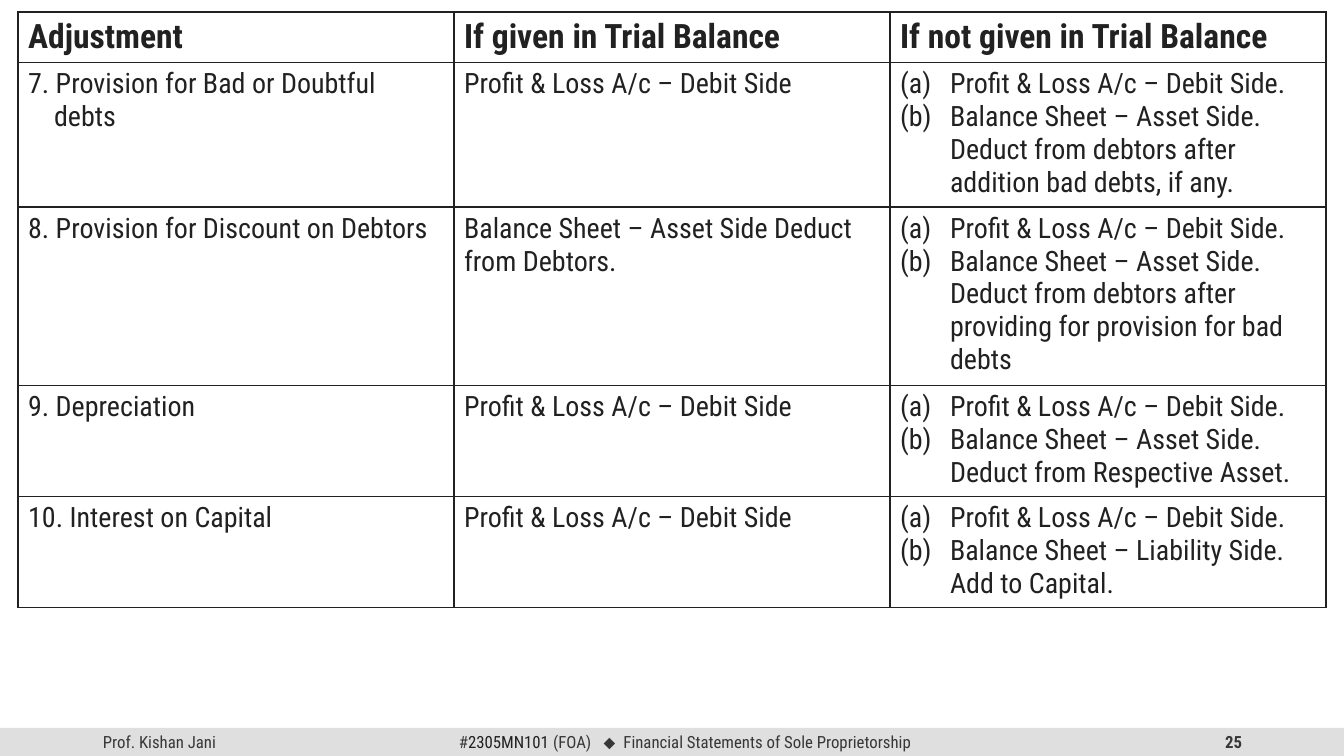
from lxml import etree
from pptx import Presentation
from pptx.dml.color import RGBColor
from pptx.enum.shapes import MSO_SHAPE
from pptx.enum.text import MSO_ANCHOR, PP_ALIGN
from pptx.oxml.ns import qn
from pptx.util import Emu, Pt

EMU_PER_INCH = 914400
PX_PER_INCH = 100.8
ROUNDED = MSO_SHAPE.ROUNDED_RECTANGLE
MIDDLE = MSO_ANCHOR.MIDDLE
LEFT, CENTER, RIGHT = PP_ALIGN.LEFT, PP_ALIGN.CENTER, PP_ALIGN.RIGHT

COLORS = {"ink": "212121", "footer": "373737", "band": "DFDFDF"}
FONT = "Roboto Condensed"
SYMBOL_FONT = "Arial"

SLIDE_SIZE = (1344, 756)
FOOTER_TOP, FOOTER_HEIGHT = 728, 28
COLUMN_WIDTH = 436
ROW_HEIGHTS = [49, 142, 175, 109, 109]
LIST_INDENT = 50
CONTINUATION_INDENT = 26

PROFIT_AND_LOSS = "Profit & Loss A/c – Debit Side"
HEADINGS = ["Adjustment", "If given in Trial Balance", "If not given in Trial Balance"]
# Adjustment lines, treatment if given, second treatment if not given
ADJUSTMENTS = [
    (["7. Provision for Bad or Doubtful", "debts"], PROFIT_AND_LOSS,
     "Balance Sheet – Asset Side. Deduct from debtors after addition bad debts, if any."),
    (["8. Provision for Discount on Debtors"],
     "Balance Sheet – Asset Side Deduct from Debtors.",
     "Balance Sheet – Asset Side. Deduct from debtors after providing for provision for bad debts"),
    (["9. Depreciation"], PROFIT_AND_LOSS,
     "Balance Sheet – Asset Side. Deduct from Respective Asset."),
    (["10. Interest on Capital"], PROFIT_AND_LOSS,
     "Balance Sheet – Liability Side. Add to Capital."),
]


def px(length):
    return Emu(round(length * EMU_PER_INCH / PX_PER_INCH))


class SlideBuilder:
    def __init__(self, slide):
        self.slide = slide

    def style_run(self, run, size, color, bold=False, font=FONT):
        run.font.name = font
        run.font.size = Pt(size)
        run.font.bold = bold
        run.font.color.rgb = RGBColor.from_string(COLORS[color])

    def band(self, left, top, width, height):
        shape = self.slide.shapes.add_shape(ROUNDED, px(left), px(top), px(width), px(height))
        shape.adjustments[0] = 0
        shape.shadow.inherit = False
        shape.fill.solid()
        shape.fill.fore_color.rgb = RGBColor.from_string(COLORS["band"])
        shape.line.fill.background()

    def footer_text(self, left, width, alignment, runs, bold=False):
        """Each run is (text, color, font, letter spacing in points)."""
        box = self.slide.shapes.add_textbox(px(left), px(FOOTER_TOP), px(width), px(FOOTER_HEIGHT))
        frame = box.text_frame
        frame.word_wrap = True
        frame.vertical_anchor = MIDDLE
        paragraph = frame.paragraphs[0]
        paragraph.alignment = alignment
        for text, color, font, spacing in runs:
            run = paragraph.add_run()
            run.text = text
            self.style_run(run, 12, color, bold, font)
            if spacing:
                run.font._element.set("spc", str(spacing * 100))

    def indent(self, paragraph, margin, hanging=0):
        properties = paragraph._p.get_or_add_pPr()
        properties.set("marL", str(px(margin)))
        properties.set("indent", str(-px(hanging)))
        return properties

    def letter(self, paragraph):
        """Number the paragraph (a), (b) and so on."""
        properties = self.indent(paragraph, LIST_INDENT, LIST_INDENT)
        etree.SubElement(properties, qn("a:buFont"), typeface="+mj-lt")
        etree.SubElement(properties, qn("a:buAutoNum"), type="alphaLcParenBoth")

    def borders(self, cell):
        properties = cell._tc.get_or_add_tcPr()
        for position, side in enumerate(("lnL", "lnR", "lnT", "lnB")):
            line = etree.Element(qn(f"a:{side}"), w=str(Pt(1)))
            fill = etree.SubElement(line, qn("a:solidFill"))
            etree.SubElement(fill, qn("a:srgbClr"), val=COLORS["ink"])
            properties.insert(position, line)

    def cell(self, cell, lines, size=20, bold=False, lettered=False):
        cell.fill.background()
        self.borders(cell)
        cell.text_frame.text = "\n".join(lines)
        for index, paragraph in enumerate(cell.text_frame.paragraphs):
            if lettered:
                self.letter(paragraph)
            elif index:
                self.indent(paragraph, CONTINUATION_INDENT)
            for run in paragraph.runs:
                self.style_run(run, size, "ink", bold)

    def adjustments_table(self, left, top):
        table = self.slide.shapes.add_table(
            len(ROW_HEIGHTS), len(HEADINGS), px(left), px(top),
            px(COLUMN_WIDTH * len(HEADINGS)), px(sum(ROW_HEIGHTS))).table
        table.first_row = table.horz_banding = False
        for column in table.columns:
            column.width = px(COLUMN_WIDTH)
        for row, height in zip(table.rows, ROW_HEIGHTS):
            row.height = px(height)
        for index, heading in enumerate(HEADINGS):
            self.cell(table.cell(0, index), [heading], size=24, bold=True)
        for index, (name, given, second) in enumerate(ADJUSTMENTS, 1):
            self.cell(table.cell(index, 0), name)
            self.cell(table.cell(index, 1), [given])
            self.cell(table.cell(index, 2), [PROFIT_AND_LOSS + ".", second], lettered=True)


def main():
    presentation = Presentation()
    presentation.slide_width, presentation.slide_height = map(px, SLIDE_SIZE)
    builder = SlideBuilder(presentation.slides.add_slide(presentation.slide_layouts[6]))
    builder.band(0, FOOTER_TOP, SLIDE_SIZE[0], FOOTER_HEIGHT)
    builder.footer_text(93, 302, LEFT, [("Prof. Kishan Jani", "footer", FONT, 0)])
    builder.footer_text(950, 302, RIGHT, [("25", "footer", FONT, 0)], bold=True)
    builder.footer_text(421, 528, CENTER, [
        ("#", "footer", FONT, 0),
        ("2305MN101 ", "ink", FONT, 0),
        ("(FOA)", "footer", FONT, 0),
        (" ", "footer", FONT, 6),
        ("⬥", "footer", SYMBOL_FONT, 0),
        (" ", "footer", FONT, 3),
        ("Financial Statements of Sole Proprietorship", "footer", FONT, 0),
    ])
    builder.adjustments_table(18, 12)
    presentation.save("out.pptx")


if __name__ == "__main__":
    main()
